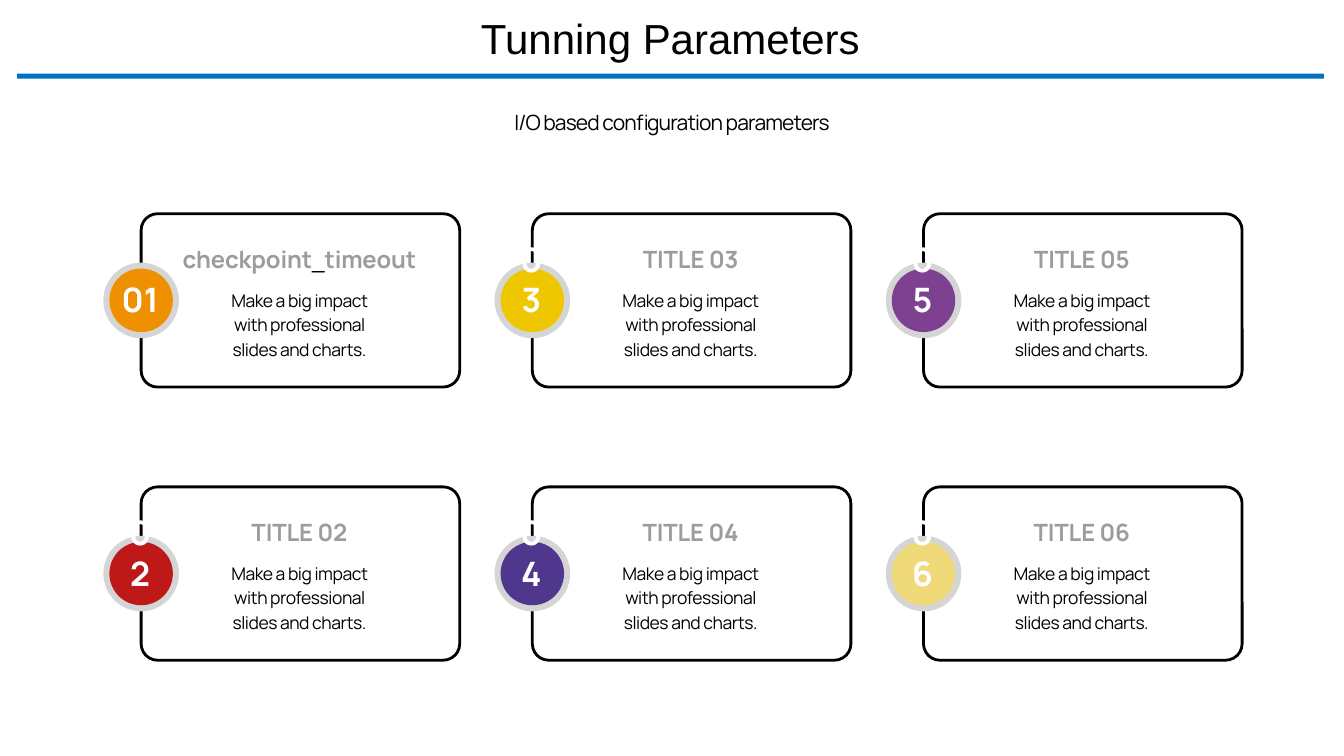
from dataclasses import dataclass

from pptx import Presentation
from pptx.dml.color import RGBColor
from pptx.enum.shapes import MSO_SHAPE
from pptx.enum.text import MSO_ANCHOR, PP_ALIGN
from pptx.shapes.autoshape import Shape
from pptx.slide import Slide
from pptx.text.text import TextFrame
from pptx.util import Inches, Pt

BLACK = RGBColor(0x00, 0x00, 0x00)
WHITE = RGBColor(0xFF, 0xFF, 0xFF)
GRAY = RGBColor(0x9B, 0x9C, 0x9B)
RING_GRAY = RGBColor(0xD5, 0xD5, 0xD5)
RULE_BLUE = RGBColor(0x00, 0x70, 0xC0)
ORANGE = RGBColor(0xEF, 0x90, 0x00)
RED = RGBColor(0xBE, 0x18, 0x18)
YELLOW = RGBColor(0xEF, 0xC7, 0x00)
INDIGO = RGBColor(0x4E, 0x37, 0x8C)
PURPLE = RGBColor(0x7E, 0x41, 0x91)
SAND = RGBColor(0xEF, 0xD9, 0x79)

GRID_LEFT, GRID_TOP = 1.4, 2.12
COLUMN_STEP, ROW_STEP = 3.88, 2.71
CARD_WIDTH, CARD_HEIGHT = 3.16, 1.72
CARD_TEXT = "Make a big impact with professional slides and charts."


@dataclass(frozen=True)
class TextStyle:
    font: dict
    tracking: int = 0  # hundredths of a point
    line_spacing: float | None = None  # points


@dataclass(frozen=True)
class Card:
    number: str
    title: tuple[str, ...]  # every second part is a separator
    color: RGBColor
    title_width: float = 1.76
    number_height: float = 0.91


TITLE = TextStyle({"name": "Arial", "size": Pt(30), "bold": False})
SUBTITLE = TextStyle({"name": "Manrope", "size": Pt(15)}, -60, 21)
HEADING = TextStyle({"name": "Manrope", "size": Pt(17), "bold": True}, -10, 17.5)
SEPARATOR = TextStyle({"name": "Arial", "size": Pt(16), "bold": False})
BODY = TextStyle({"name": "Manrope", "size": Pt(12.5)}, -30, 17.5)
NUMBER = TextStyle({"name": "Manrope", "size": Pt(24), "bold": True})

# Cards run down each column in turn
CARDS = [
    Card("01", ("checkpoint", "_", "timeout"), ORANGE, 2.65, 0.5),
    Card("02", ("TITLE 02",), RED),
    Card("03", ("TITLE 03",), YELLOW),
    Card("04", ("TITLE 04",), INDIGO),
    Card("05", ("TITLE 05",), PURPLE),
    Card("06", ("TITLE 06",), SAND),
]


def write(frame: TextFrame, parts: list[tuple[str, TextStyle, RGBColor]]) -> None:
    """Write one centred paragraph made of styled parts."""
    para = frame.paragraphs[0]
    para.alignment = PP_ALIGN.CENTER
    spacing = parts[0][1].line_spacing
    if spacing:
        para.line_spacing = Pt(spacing)
    for text, style, color in parts:
        span = para.add_run()
        span.text = text
        for name, value in style.font.items():
            setattr(span.font, name, value)
        span.font.color.rgb = color
        if style.tracking:
            span.font._element.set("spc", str(style.tracking))


def add_text(page: Slide, left: float, top: float, width: float, height: float,
             parts: list[tuple[str, TextStyle, RGBColor]],
             anchor: MSO_ANCHOR = MSO_ANCHOR.TOP) -> None:
    box = page.shapes.add_textbox(Inches(left), Inches(top), Inches(width), Inches(height))
    box.text_frame.word_wrap = True
    box.text_frame.vertical_anchor = anchor
    write(box.text_frame, parts)


def add_filled(page: Slide, kind: MSO_SHAPE, left: float, top: float,
               width: float, height: float, color: RGBColor) -> Shape:
    shape = page.shapes.add_shape(kind, Inches(left), Inches(top), Inches(width), Inches(height))
    shape.shadow.inherit = False
    shape.fill.solid()
    shape.fill.fore_color.rgb = color
    shape.line.fill.background()
    return shape


def add_card(page: Slide, card: Card, left: float, top: float) -> None:
    # Outline
    frame = page.shapes.add_shape(MSO_SHAPE.ROUNDED_RECTANGLE, Inches(left), Inches(top),
                                  Inches(CARD_WIDTH), Inches(CARD_HEIGHT))
    frame.adjustments[0] = 0.095
    frame.shadow.inherit = False
    frame.fill.background()
    frame.line.color.rgb = BLACK
    frame.line.width = Pt(2)

    # Ring and disc, centred on the left edge
    middle = top + CARD_HEIGHT / 2
    for size, color in ((0.75, RING_GRAY), (0.63, card.color)):
        add_filled(page, MSO_SHAPE.OVAL, left - size / 2, middle - size / 2, size, size, color)

    # Heading, description and number
    center = left + 1.57
    heading = [(part, SEPARATOR, BLACK) if index % 2 else (part, HEADING, GRAY)
               for index, part in enumerate(card.title)]
    add_text(page, center - card.title_width / 2, top + 0.28, card.title_width, 0.36,
             heading, MSO_ANCHOR.BOTTOM)
    add_text(page, center - 0.88, top + 0.67, 1.76, 0.85, [(CARD_TEXT, BODY, BLACK)])
    add_text(page, left - 0.31, top + 1.1 - card.number_height, 0.6, card.number_height,
             [(card.number, NUMBER, WHITE)], MSO_ANCHOR.BOTTOM)


def main() -> None:
    deck = Presentation()
    deck.slide_width, deck.slide_height = Inches(13.33), Inches(7.5)
    page = deck.slides.add_slide(deck.slide_layouts[5])

    # Title with its rule, and the subtitle
    title = page.shapes.title
    place = {"left": 0.17, "top": 0.15, "width": 12.96, "height": 0.52}
    for name, value in place.items():
        setattr(title, name, Inches(value))
    title.text_frame.vertical_anchor = MSO_ANCHOR.MIDDLE
    write(title.text_frame, [("Tunning Parameters", TITLE, BLACK)])
    title.text_frame.paragraphs[0].line_spacing = 0.9
    add_filled(page, MSO_SHAPE.RECTANGLE, 0.17, 0.73, 12.96, 0.05, RULE_BLUE)
    add_text(page, 4.8, 1, 3.73, 0.38,
             [("I/O based configuration parameters", SUBTITLE, BLACK)])

    # Grid of cards
    for index, card in enumerate(CARDS):
        column, row = divmod(index, 2)
        add_card(page, card, GRID_LEFT + column * COLUMN_STEP, GRID_TOP + row * ROW_STEP)

    deck.save("out.pptx")


if __name__ == "__main__":
    main()
